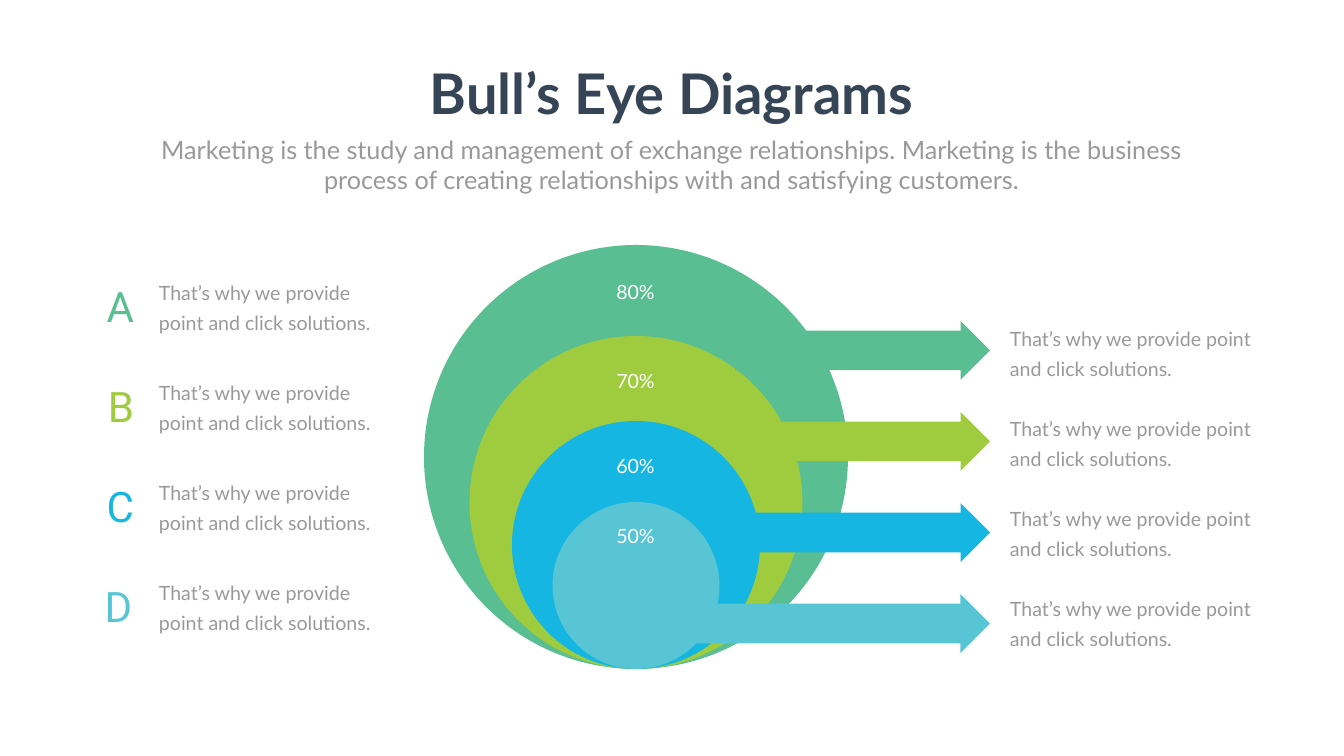
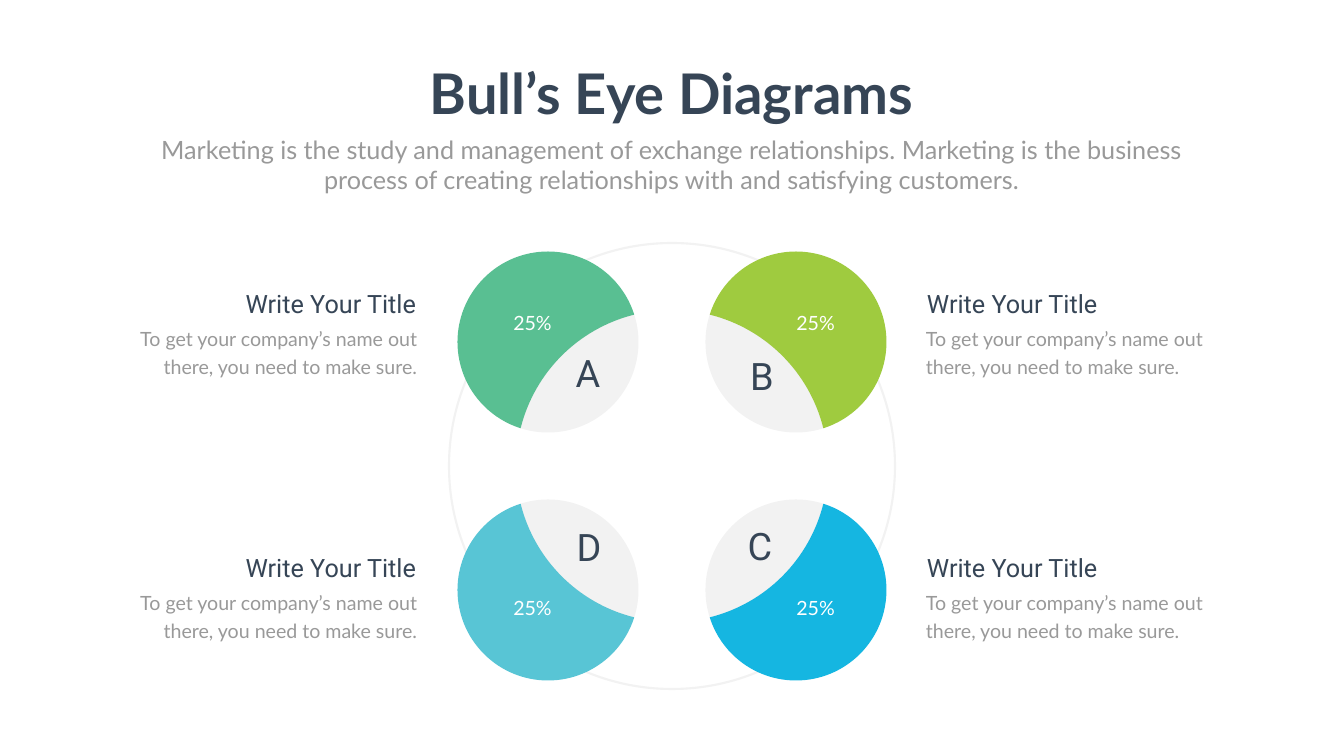
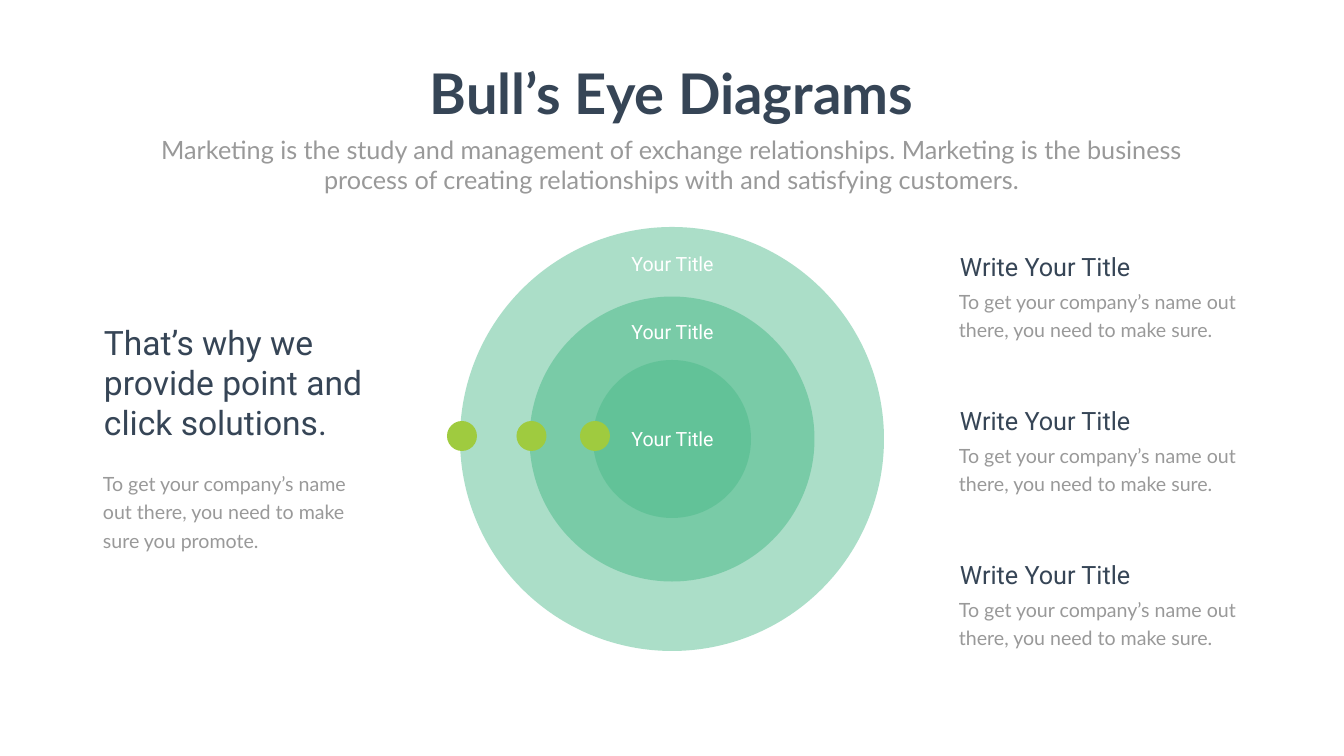
import math
from itertools import pairwise
from pptx import Presentation
from pptx.dml.color import RGBColor
from pptx.enum.shapes import MSO_SHAPE
from pptx.enum.text import MSO_ANCHOR, MSO_AUTO_SIZE, PP_ALIGN
from pptx.oxml.ns import qn
from pptx.oxml.xmlchemy import OxmlElement
from pptx.util import Pt

PX = 914400 / 50.4
WIDTH, HEIGHT = 1344, 756
OVAL, ARROW = MSO_SHAPE.OVAL, MSO_SHAPE.RIGHT_ARROW
LEFT, CENTER, RIGHT = PP_ALIGN.LEFT, PP_ALIGN.CENTER, PP_ALIGN.RIGHT
TOP, GROW = MSO_ANCHOR.TOP, MSO_AUTO_SIZE.SHAPE_TO_FIT_TEXT
GREEN, LIME, BLUE, TEAL = "59BF92", "9FCB3F", "15B6E1", "58C5D5"
DARK, GREY, MID, WHITE = "364556", "999999", "808080", "FFFFFF"
LATO, ROBOTO = "Lato", "Roboto"
QUARTER = math.pi / 2

TITLE = "Bull’s Eye Diagrams"
SUBTITLE = ("Marketing is the study and management of exchange relationships. "
            "Marketing is the business process of creating relationships with "
            "and satisfying customers.")
SOLUTIONS = "That’s why we provide point and click solutions."
CARD_TITLE = "Write Your Title"
CARD_BODY = "To get your company’s name out there, you need to make sure."
PROMOTE = "To get your company’s name out there, you need to make sure you promote."
RING_LABEL = "Your Title"

LEVELS = [
    dict(letter="A", x=87, color=GREEN, d=424, share="80%", share_y=277, arrow_x=735),
    dict(letter="B", x=87, color=LIME, d=333, share="70%", share_y=366, arrow_x=735),
    dict(letter="C", x=87, color=BLUE, d=248, share="60%", share_y=451, arrow_x=735),
    dict(letter="D", x=85, color=TEAL, d=167, share="50%", share_y=521, arrow_x=636),
]
PETALS = [
    dict(letter="A", x=562, y=347, color=GREEN, share="25%", side=-1, row=-1),
    dict(letter="B", x=736, y=350, color=LIME, share="25%", side=1, row=-1),
    dict(letter="C", x=734, y=520, color=BLUE, share="25%", side=1, row=1),
    dict(letter="D", x=563, y=521, color=TEAL, share="25%", side=-1, row=1),
]
RINGS = [
    dict(d=424, alpha=50, label_y=249),
    dict(d=285, alpha=60, label_y=317),
    dict(d=158, alpha=70, label_y=424),
]


def px(*values):
    return [round(v * PX) for v in values]


def rgb(color):
    return RGBColor.from_string(color)


def set_alpha(shape, percent):
    for color in shape._element.spPr.iter(qn("a:srgbClr")):
        alpha = OxmlElement("a:alpha")
        alpha.set("val", str(percent * 1000))
        color.append(alpha)


def paint(shape, color, alpha=100):
    shape.shadow.inherit = False
    shape.fill.solid()
    shape.fill.fore_color.rgb = rgb(color)
    shape.line.fill.background()
    if alpha < 100:
        set_alpha(shape, alpha)


def add_circle(s, cx, cy, d, color, alpha=100):
    shape = s.shapes.add_shape(OVAL, *px(cx - d / 2, cy - d / 2, d, d))
    paint(shape, color, alpha)


def write(shape, text, size=28, font=LATO, color=GREY, align=LEFT,
          bold=False, spacing=None, wrap=True):
    tf = shape.text_frame
    tf.word_wrap = wrap
    tf.auto_size = GROW
    tf.vertical_anchor = TOP
    p = tf.paragraphs[0]
    p.alignment = align
    p.space_before = Pt(0)
    if spacing:
        p.line_spacing = Pt(spacing)
    r = p.add_run()
    r.text = text
    r.font.size, r.font.name, r.font.bold = Pt(size), font, bold
    r.font.color.rgb = rgb(color)


def add_text(s, box, text, **fmt):
    write(s.shapes.add_textbox(*px(*box)), text, **fmt)


def place(shape, *box):
    shape.left, shape.top, shape.width, shape.height = px(*box)


def add_card(s, x, y, align=LEFT):
    title_x = x + 1 if align == LEFT else x
    add_text(s, (x, y + 33, 300, 60), CARD_BODY, align=align, spacing=40.8)
    add_text(s, (title_x, y, 299, 36), CARD_TITLE, size=36, font=ROBOTO,
             color=DARK, align=align)


def add_slide(prs):
    s = prs.slides.add_slide(prs.slide_layouts[0])
    title, subtitle = s.placeholders
    place(title, 420, 56, 503, 73)
    write(title, TITLE, size=80, color=DARK, align=CENTER, bold=True, wrap=False)
    place(subtitle, 147, 132, 1049, 66)
    write(subtitle, SUBTITLE, size=36, align=CENTER)
    return s


def arc(cx, cy, r, *angles):
    points = []
    for start, end in pairwise(angles):
        k = 4 / 3 * math.tan((end - start) / 4)
        for angle, pull in ((start, 0), (start, k), (end, -k), (end, 0)):
            cos, sin = math.cos(angle), math.sin(angle)
            points.append((cx + r * (cos - pull * sin), cy + r * (sin + pull * cos)))
        if len(points) > 4:
            del points[-4]
    return points


def add_curves(s, points):
    start, *rest = [px(*point) for point in points]
    builder = s.shapes.build_freeform(*start)
    builder.add_line_segments(rest, close=True)
    shape = builder.convert_to_shape()
    lines = list(shape._element.spPr.iter(qn("a:lnTo")))
    for i in range(0, len(lines), 3):
        curve = OxmlElement("a:cubicBezTo")
        lines[i].addprevious(curve)
        for line in lines[i:i + 3]:
            curve.append(line[0])
            line.getparent().remove(line)
    return shape


def nested_slide(prs):
    s = add_slide(prs)
    cx, bottom = 636, 669
    for level in LEVELS:
        add_circle(s, cx, bottom - level["d"] / 2, level["d"], level["color"])
    for level in LEVELS:
        add_text(s, (600, level["share_y"], 71, 29), level["share"],
                 color=WHITE, align=CENTER)
    for i, level in enumerate(LEVELS):
        x = level["arrow_x"]
        arrow = s.shapes.add_shape(ARROW, *px(x, 321 + 91 * i, 990 - x, 59))
        arrow.adjustments[0] = 0.67
        paint(arrow, level["color"])
    for i in range(len(LEVELS)):
        add_text(s, (1005, 318 + 90 * i, 254, 62), SOLUTIONS, spacing=43)
    for i, level in enumerate(LEVELS):
        y = 272 + 100 * i
        add_text(s, (level["x"], y + 6, 52, 56), level["letter"], size=60,
                 font=ROBOTO, color=level["color"], align=RIGHT)
        add_text(s, (154, y, 231, 56), SOLUTIONS, spacing=43)


def petals_slide(prs):
    s = add_slide(prs)
    cx, cy, ring_r, offset, petal_d, cut_r = 672, 466, 223, 124, 181, 156
    petal_r = petal_d / 2
    ring = add_curves(s, arc(cx, cy, ring_r, *[i * QUARTER for i in range(5)]))
    ring.shadow.inherit = False
    ring.fill.background()
    ring.line.color.rgb = rgb(MID)
    ring.line.width = Pt(3)
    set_alpha(ring, 10)

    d = offset * math.sqrt(2)
    a = math.acos((d**2 + petal_r**2 - cut_r**2) / (2 * d * petal_r))
    b = math.acos((d**2 + cut_r**2 - petal_r**2) / (2 * d * cut_r))
    for petal in PETALS:
        side, row = petal["side"], petal["row"]
        x, y = cx + side * offset, cy + row * offset
        outward = math.atan2(row, side)
        inward = outward + math.pi
        outer = arc(x, y, petal_r, inward + a, inward + QUARTER, inward + 2 * QUARTER,
                    inward + 3 * QUARTER, inward + 4 * QUARTER - a)
        inner = arc(x, y, petal_r, inward - a, inward, inward + a)
        cut = arc(cx, cy, cut_r, outward + b, outward - b)
        paint(add_curves(s, outer + cut[1:]), petal["color"])
        paint(add_curves(s, inner + cut[-2::-1]), MID, 10)
    for petal in PETALS:
        left, upper = petal["side"] < 0, petal["row"] < 0
        add_text(s, (petal["x"], petal["y"], 52, 51), petal["letter"], size=54,
                 font=ROBOTO, color=DARK, align=CENTER)
        add_card(s, 122 if left else 921, 286 if upper else 550,
                 RIGHT if left else LEFT)
        add_text(s, (497 if left else 780, 308 if upper else 593, 71, 29),
                 petal["share"], color=WHITE, align=CENTER)


def rings_slide(prs):
    s = add_slide(prs)
    cx, cy = 672, 439
    for ring in RINGS:
        add_circle(s, cx, cy, ring["d"], GREEN, ring["alpha"])
    for i, ring in enumerate(RINGS):
        add_text(s, (583, ring["label_y"], 179, 29), RING_LABEL, font=ROBOTO,
                 color=WHITE, align=CENTER)
        add_card(s, 954, 249 + 154 * i)
        add_circle(s, cx - ring["d"] / 2 + 2, cy - 3, 30, LIME)
    add_text(s, (99, 319, 280, 127), SOLUTIONS, size=48, font=ROBOTO, color=DARK)
    add_text(s, (98, 464, 260, 89), PROMOTE, spacing=40.8)


def main():
    prs = Presentation()
    prs.slide_width, prs.slide_height = px(WIDTH, HEIGHT)
    nested_slide(prs)
    petals_slide(prs)
    rings_slide(prs)
    prs.save("out.pptx")


if __name__ == "__main__":
    main()
